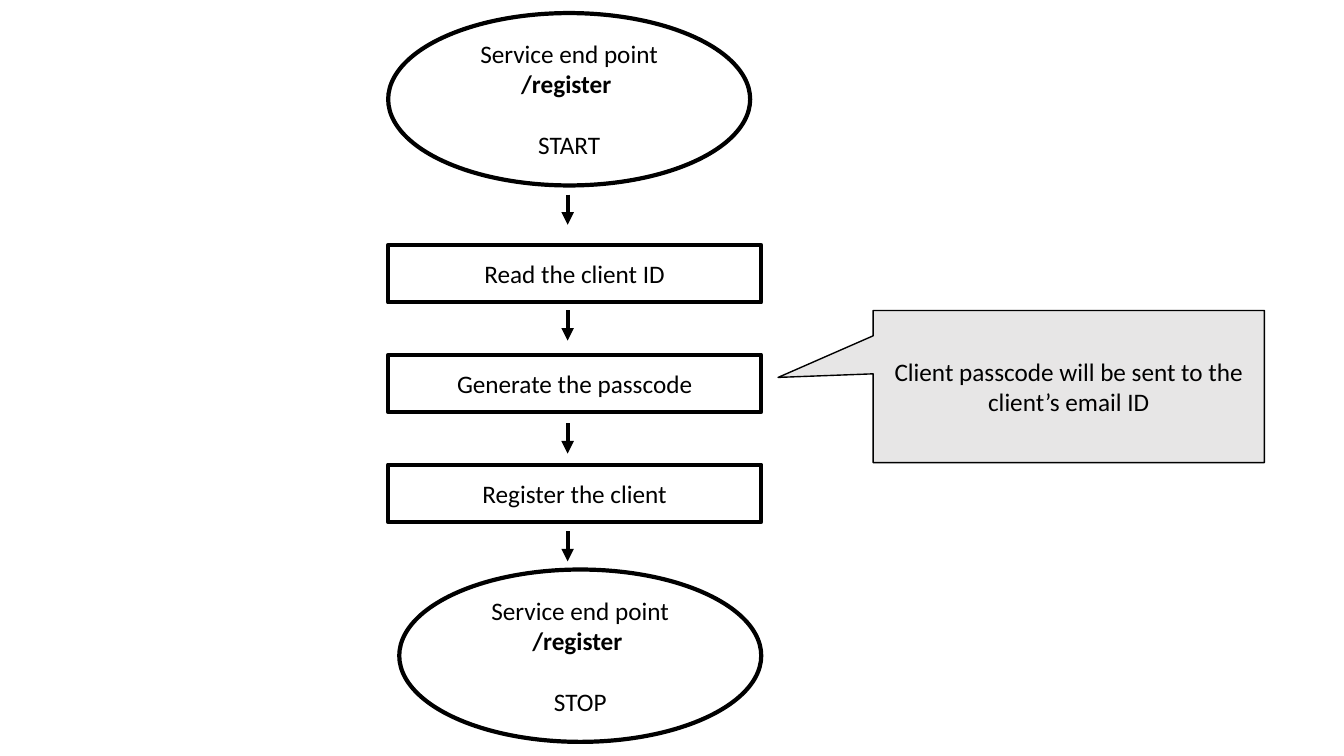
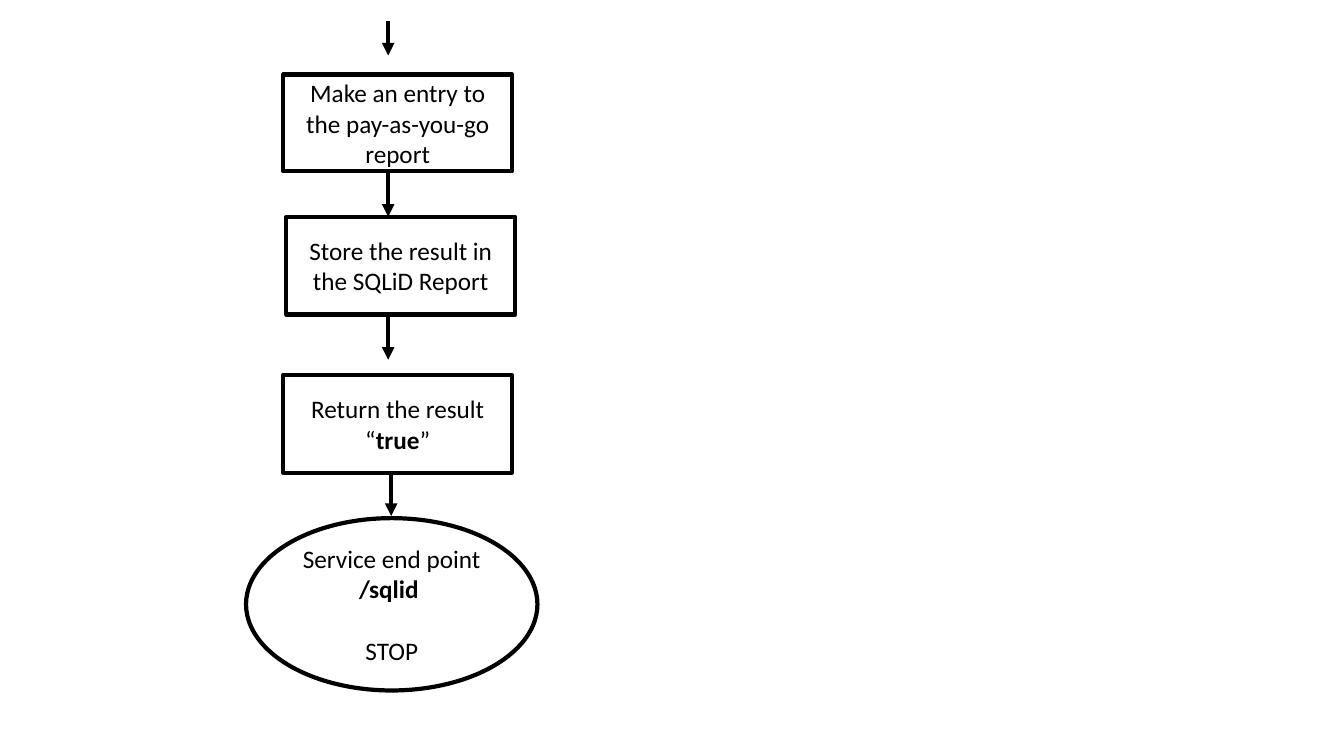
from dataclasses import dataclass

from lxml.etree import SubElement
from pptx import Presentation
from pptx.dml.color import RGBColor
from pptx.enum.shapes import MSO_CONNECTOR, MSO_SHAPE
from pptx.enum.text import MSO_ANCHOR, PP_ALIGN
from pptx.oxml.ns import qn
from pptx.util import Inches, Pt

INK = "000000"
PAPER = "FFFFFF"
GREY = "E7E6E6"
FONT = "Calibri"
THICK = 3


@dataclass(frozen=True)
class Node:
    text: str
    left: float
    top: float
    width: float
    height: float
    kind: MSO_SHAPE = MSO_SHAPE.RECTANGLE
    fill: str = PAPER
    line: float = THICK
    gap: float = 0
    tip: tuple[float, ...] = ()


@dataclass(frozen=True)
class Arrow:
    x: float
    top: float
    end: float


def color(code: str) -> RGBColor:
    return RGBColor.from_string(code)


def write(shape, text: str, *, size: float = 18, ink: str = INK, gap: float = 0) -> None:
    frame = shape.text_frame
    frame.word_wrap = True
    frame.vertical_anchor = MSO_ANCHOR.MIDDLE
    for row, line in enumerate(text.split("\n")):
        para = frame.add_paragraph() if row else frame.paragraphs[0]
        para.alignment = PP_ALIGN.CENTER
        for part, words in enumerate(line.split("**")):
            if words:
                run = para.add_run()
                run.text = words
                run.font.name = FONT
                run.font.size = Pt(size)
                run.font.bold = part % 2 == 1
                run.font.color.rgb = color(ink)
    if gap:
        para.space_before = Pt(gap)


def draw_node(slide, node: Node) -> None:
    place = (Inches(v) for v in (node.left, node.top, node.width, node.height))
    shape = slide.shapes.add_shape(node.kind, *place)
    shape.shadow.inherit = False
    shape.fill.solid()
    shape.fill.fore_color.rgb = color(node.fill)
    shape.line.color.rgb = color(INK)
    shape.line.width = Pt(node.line)
    for spot, value in enumerate(node.tip):
        shape.adjustments[spot] = value
    write(shape, node.text, gap=node.gap)


def draw_arrow(slide, arrow: Arrow) -> None:
    x = Inches(arrow.x)
    link = slide.shapes.add_connector(
        MSO_CONNECTOR.STRAIGHT, x, Inches(arrow.top), x, Inches(arrow.end))
    link.line.color.rgb = color(INK)
    link.line.width = Pt(THICK)
    SubElement(link.line._get_or_add_ln(), qn("a:tailEnd"), type="triangle")
    SubElement(link._element.spPr, qn("a:effectLst"))


def end_point(route: str, state: str, left: float, top: float, width: float) -> Node:
    text = f"Service end point\n**{route} **\n{state}"
    return Node(text, left, top, width, 1.71, MSO_SHAPE.OVAL, gap=22)


def build(deck, nodes: list[Node], arrows: list[Arrow]) -> None:
    slide = deck.slides.add_slide(deck.slide_layouts[6])
    for node in nodes:
        draw_node(slide, node)
    for arrow in arrows:
        draw_arrow(slide, arrow)


deck = Presentation()
deck.slide_width = Inches(13.33)
deck.slide_height = Inches(7.5)

steps = ["Read the client ID", "Generate the passcode", "Register the client"]
note = Node("Client passcode will be sent to the client’s email ID",
            8.66, 3.08, 3.88, 1.51, MSO_SHAPE.RECTANGULAR_CALLOUT,
            GREY, 1, tip=(-0.743, -0.06))
build(
    deck,
    [end_point("/register", "START", 3.85, 0.13, 3.59),
     *(Node(step, 3.85, 2.43 + 1.09 * i, 3.7, 0.57) for i, step in enumerate(steps)),
     end_point("/register", "STOP", 3.96, 5.65, 3.59),
     note],
    [Arrow(5.63, top, top + 0.3) for top in (1.93, 3.08, 4.2, 5.27)],
)

build(
    deck,
    [Node("Make an entry to the pay-as-you-go report", 2.81, 0.74, 2.27, 0.96),
     Node("Store the result in the SQLiD Report", 2.84, 2.15, 2.27, 0.97),
     Node("Return the result “**true**”", 2.81, 3.72, 2.27, 0.97),
     end_point("/sqlid", "STOP", 2.44, 5.14, 2.89)],
    [Arrow(3.85, 0.21, 0.55), Arrow(3.85, 1.71, 2.15),
     Arrow(3.85, 3.13, 3.57), Arrow(3.88, 4.7, 5.12)],
)

deck.save("out.pptx")
